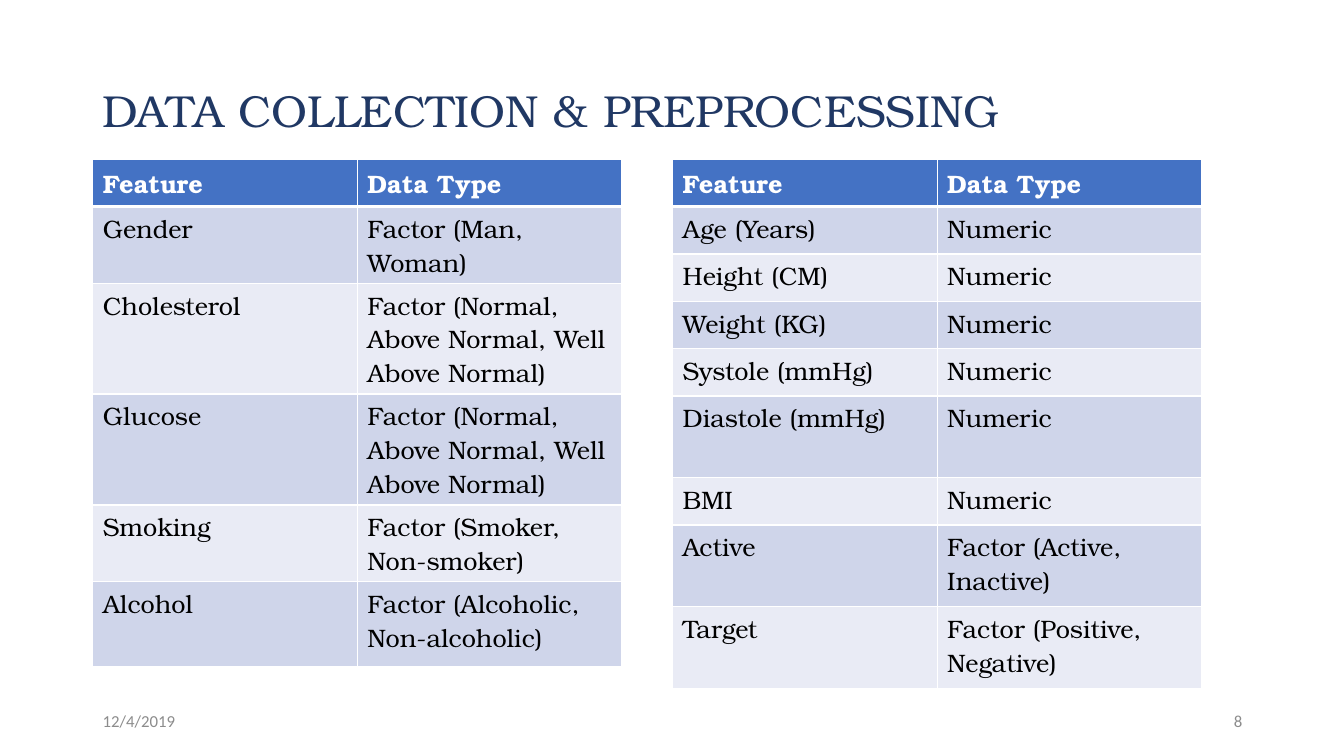
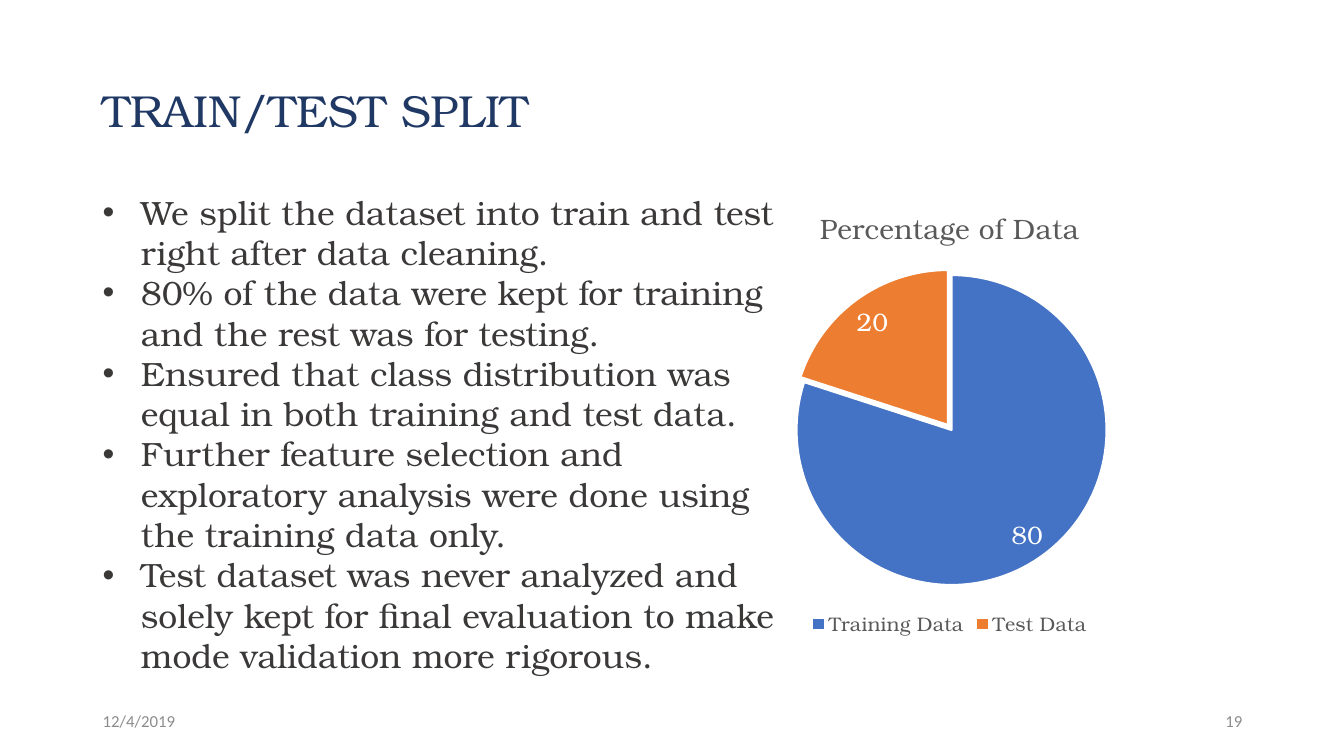
"""Two slides on heart data: a feature overview and the train/test split."""
from lxml import etree
from pptx import Presentation, util as u
from pptx.chart.data import CategoryChartData
from pptx.dml.color import RGBColor
from pptx.enum import chart as charts, text as texts
from pptx.oxml import ns

COLORS = {"title": "203864", "footer": "8C8C8C", "body": "3B3838", "chart": "595959",
          "blue": "4472C4", "orange": "ED7D31", "dark_band": "CFD5EA",
          "light_band": "E9EBF5", "white": "FFFFFF", "black": "000000"}
SERIF, SANS = "TeX Gyre Bonum", "Calibri"
TITLE_BOX = (0.92, 0.4, 11.5, 1.45)
DATE_BOX = (0.92, 6.95, 3, 0.4)
NUMBER_BOX = (9.42, 6.95, 3, 0.4)
HEADER = ("Feature", "Data Type")
LEVELS = "Factor (Normal, Above Normal, Well Above Normal)"
CATEGORY_ROWS = [("Gender", "Factor (Man, Woman)"), ("Cholesterol", LEVELS),
                 ("Glucose", LEVELS), ("Smoking", "Factor (Smoker, Non-smoker)"),
                 ("Alcohol", "Factor (Alcoholic, Non-alcoholic)")]
MEASURES = ["Age (Years)", "Height (CM)", "Weight (KG)", "Systole (mmHg)",
            "Diastole (mmHg)", "BMI"]
MEASURE_ROWS = [(name, "Numeric") for name in MEASURES] + [
    ("Active", "Factor (Active, Inactive)"), ("Target", "Factor (Positive, Negative)")]
SPLIT_POINTS = [
    "We split the dataset into train and test right after data cleaning.",
    "80% of the data were kept for training and the rest was for testing.",
    "Ensured that class distribution was equal in both training and test data.",
    "Further feature selection and exploratory analysis were done using the training data only.",
    "Test dataset was never analyzed and solely kept for final evaluation to make mode "
    "validation more rigorous.",
]


def color(name):
    """Return the named colour."""
    return RGBColor.from_string(COLORS[name])


def inches(box):
    """Turn a box of numbers into lengths."""
    return [u.Inches(value) for value in box]


def style(font, size, tone, face=SERIF, bold=False):
    """Set the face, size, colour and weight of a font."""
    font.name, font.size, font.bold = face, u.Pt(size), bold
    font.color.rgb = color(tone)


def add_bullet(para, indent=0.38):
    """Give a paragraph a hanging bullet."""
    properties = para._p.get_or_add_pPr()
    properties.set("marL", str(u.Inches(indent)))
    properties.set("indent", str(-u.Inches(indent)))
    etree.SubElement(properties, ns.qn("a:buFont")).set("typeface", "Arial")
    etree.SubElement(properties, ns.qn("a:buChar")).set("char", "•")


def write(frame, lines, align=None, spacing=None, bullets=False, **font):
    """Fill a text frame with one paragraph per line."""
    for index, line in enumerate(lines):
        para = frame.paragraphs[0] if index == 0 else frame.add_paragraph()
        para.alignment, para.line_spacing = align, spacing
        span = para.add_run()
        span.text = line
        style(span.font, **font)
        if bullets:
            add_bullet(para)


def add_text(page, box, lines, anchor=texts.MSO_ANCHOR.MIDDLE, **form):
    """Place a wrapping text box."""
    frame = page.shapes.add_textbox(*inches(box)).text_frame
    frame.word_wrap, frame.vertical_anchor = True, anchor
    write(frame, lines, **form)


def add_page(deck, title, number):
    """Add a page with its title, date and number."""
    page = deck.slides.add_slide(deck.slide_layouts[6])
    add_text(page, TITLE_BOX, [title], size=32, tone="title", spacing=0.9)
    footer = {"size": 12, "tone": "footer", "face": SANS}
    add_text(page, DATE_BOX, ["12/4/2019"], **footer)
    add_text(page, NUMBER_BOX, [str(number)], align=texts.PP_ALIGN.RIGHT, **footer)
    return page


def add_borders(cell, bottom):
    """Draw white borders around a cell."""
    properties = cell._tc.get_or_add_tcPr()
    widths = {"a:lnL": 1, "a:lnR": 1, "a:lnT": 1, "a:lnB": bottom}
    for index, (tag, width) in enumerate(widths.items()):
        line = etree.Element(ns.qn(tag), w=str(u.Pt(width)))
        fill = etree.SubElement(line, ns.qn("a:solidFill"))
        etree.SubElement(fill, ns.qn("a:srgbClr")).set("val", COLORS["white"])
        properties.insert(index, line)


def add_feature_table(page, box, rows, heights):
    """Place a banded table of features and their types."""
    table = page.shapes.add_table(len(rows) + 1, len(HEADER), *inches(box)).table
    for column in table.columns:
        column.width = u.Inches(box[2] / len(HEADER))
    for index, (entries, height) in enumerate(zip([HEADER] + rows, heights)):
        table.rows[index].height = u.Inches(height)
        heading = index == 0
        band = "blue" if heading else "dark_band" if index % 2 else "light_band"
        for cell, entry in zip(table.rows[index].cells, entries):
            cell.fill.solid()
            cell.fill.fore_color.rgb = color(band)
            add_borders(cell, bottom=3 if heading else 1)
            write(cell.text_frame, [entry], size=18, bold=heading,
                  tone="white" if heading else "black")


def add_split_chart(page, box):
    """Place the pie of training and test data."""
    data = CategoryChartData()
    data.categories = ["Training Data", "Test Data"]
    data.add_series("Percentage of Data", (80, 20))
    chart = page.shapes.add_chart(charts.XL_CHART_TYPE.PIE, *inches(box), data).chart
    style(chart.font, 10, "black", SANS)
    chart.has_title = True
    write(chart.chart_title.text_frame, ["Percentage of Data"], size=20, tone="chart")
    chart.has_legend = True
    chart.legend.position = charts.XL_LEGEND_POSITION.BOTTOM
    chart.legend.include_in_layout = False
    style(chart.legend.font, 14, "chart")
    plot = chart.plots[0]
    plot.vary_by_categories = True
    series = plot.series[0]
    for index, tone in enumerate(("blue", "orange")):
        slice_format = series.points[index].format
        slice_format.fill.solid()
        slice_format.fill.fore_color.rgb = color(tone)
        slice_format.line.color.rgb = color("white")
        slice_format.line.width = u.Pt(1.5)
    explosion = etree.Element(ns.qn("c:explosion"), val="2")
    series._element.find(ns.qn("c:dPt")).addprevious(explosion)
    labels = series.data_labels
    labels.show_value = True
    labels.position = charts.XL_LABEL_POSITION.BEST_FIT
    style(labels.font, 18, "white")


def build_features(deck):
    """Build the page with the two feature tables."""
    page = add_page(deck, "DATA COLLECTION & PREPROCESSING", 8)
    add_feature_table(page, (6.67, 1.58, 5.25, 5.24), MEASURE_ROWS,
                      [0.47] * 5 + [0.81, 0.47, 0.81, 0.81])
    add_feature_table(page, (0.92, 1.58, 5.25, 5.04), CATEGORY_ROWS,
                      [0.47, 0.76, 1.1, 1.1, 0.76, 0.84])


def build_split(deck):
    """Build the page on the train/test split."""
    page = add_page(deck, "TRAIN/TEST SPLIT", 19)
    add_text(page, (0.92, 1.85, 6.97, 5.35), SPLIT_POINTS, size=24, tone="body",
             bullets=True, anchor=texts.MSO_ANCHOR.TOP)
    add_split_chart(page, (6.23, 1.85, 6.38, 4.51))


def main():
    """Build and save the deck."""
    deck = Presentation()
    deck.slide_width, deck.slide_height = inches((13.33, 7.5))
    build_features(deck)
    build_split(deck)
    deck.save("out.pptx")


main()
